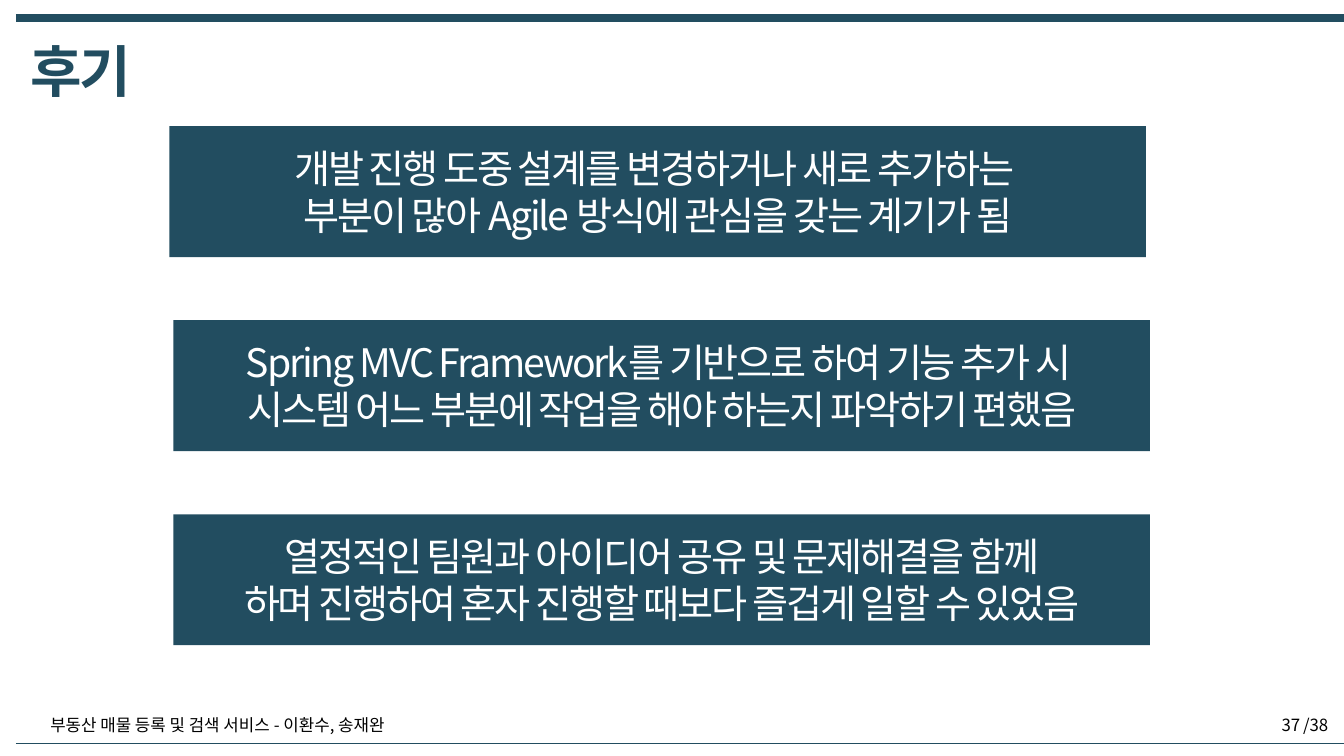
"""Build the closing review slide with three banner statements."""
from lxml import etree
from pptx import Presentation
from pptx import util as u
from pptx.dml.color import RGBColor
from pptx.enum import shapes, text
from pptx.oxml import ns

COLOURS = {"teal": "224D60", "white": "FFFFFF", "black": "000000"}
FONT = "Noto Sans CJK KR"
ALIGN = text.PP_ALIGN
MIDDLE, TOP = text.MSO_ANCHOR.MIDDLE, text.MSO_ANCHOR.TOP
BANNER_TOP, BANNER_STEP = 3.18, 4.89
BANNERS = [
    (4.27, "개발 진행 도중 설계를 변경하거나 새로 추가하는 \n"
           "부분이 많아 Agile 방식에 관심을 갖는 계기가 됨"),
    (4.37, "Spring MVC Framework를 기반으로 하여 기능 추가 시 \n"
           "시스템 어느 부분에 작업을 해야 하는지 파악하기 편했음"),
    (4.37, "열정적인 팀원과 아이디어 공유 및 문제해결을 함께\n"
           "하며 진행하여 혼자 진행할 때보다 즐겁게 일할 수 있었음"),
]
FOOTERS = [
    ("부동산 매물 등록 및 검색 서비스 - 이환수, 송재완",
     (0.3, 17.75, 10.36, 1.02), ALIGN.CENTER, MIDDLE),
    ("37", (25.4, 17.75, 7.62, 1.02), ALIGN.RIGHT, MIDDLE),
    ("/38", (32.59, 17.88, 2.06, 0.76), ALIGN.LEFT, TOP),
]


def colour(name):
    return RGBColor.from_string(COLOURS[name])


def set_attributes(target, values):
    for name, value in values.items():
        setattr(target, name, value)


def write(shape, words, size, ink, align, anchor=MIDDLE, wrap=True, bold=False, spacing=0):
    frame = shape.text_frame
    set_attributes(frame, {"word_wrap": wrap, "vertical_anchor": anchor,
                           "auto_size": text.MSO_AUTO_SIZE.NONE})
    paragraph = frame.paragraphs[0]
    set_attributes(paragraph, {"text": words, "alignment": align})
    for run in paragraph.runs:
        set_attributes(run.font, {"name": FONT, "size": u.Pt(size), "bold": bold})
        run.font.color.rgb = colour(ink)
        properties = run.font._element
        properties.set("spc", str(round(spacing * 100)))
        etree.SubElement(properties, ns.qn("a:ea")).set("typeface", FONT)


def add_title(slide, words):
    title = slide.shapes.title
    set_attributes(title, {"left": u.Cm(0.51), "top": u.Cm(0.79),
                           "width": u.Cm(3.25), "height": u.Cm(1.96)})
    write(title, words, 40, "teal", ALIGN.LEFT, wrap=False, bold=True, spacing=-1.5)


def add_rule(slide, height, weight):
    rule = slide.shapes.add_connector(
        shapes.MSO_CONNECTOR.STRAIGHT, u.Cm(0.4), u.Cm(height), u.Cm(33.9), u.Cm(height))
    rule.line.width = u.Pt(weight)
    rule.line.color.rgb = colour("teal")
    etree.SubElement(rule._element.spPr, ns.qn("a:effectLst"))


def add_banner(slide, left, top, words):
    banner = slide.shapes.add_shape(
        shapes.MSO_SHAPE.RECTANGLE, u.Cm(left), u.Cm(top), u.Cm(24.61), u.Cm(3.3))
    banner.shadow.inherit = False
    banner.fill.solid()
    banner.fill.fore_color.rgb = colour("teal")
    banner.line.fill.background()
    write(banner, words, 28, "white", ALIGN.CENTER, wrap=False, spacing=-1.5)


def add_footer(slide, words, box, align, anchor):
    footer = slide.shapes.add_textbox(*map(u.Cm, box))
    write(footer, words, 12, "black", align, anchor)


def main():
    presentation = Presentation()
    set_attributes(presentation, {"slide_width": u.Cm(33.87), "slide_height": u.Cm(19.05)})
    slide = presentation.slides.add_slide(presentation.slide_layouts.get_by_name("Title Only"))
    add_title(slide, "후기")
    for height, weight in ((0.45, 6), (18.72, 0.25)):
        add_rule(slide, height, weight)
    for index, (left, words) in enumerate(BANNERS):
        add_banner(slide, left, BANNER_TOP + index * BANNER_STEP, words)
    for footer in FOOTERS:
        add_footer(slide, *footer)
    presentation.save("out.pptx")


main()
